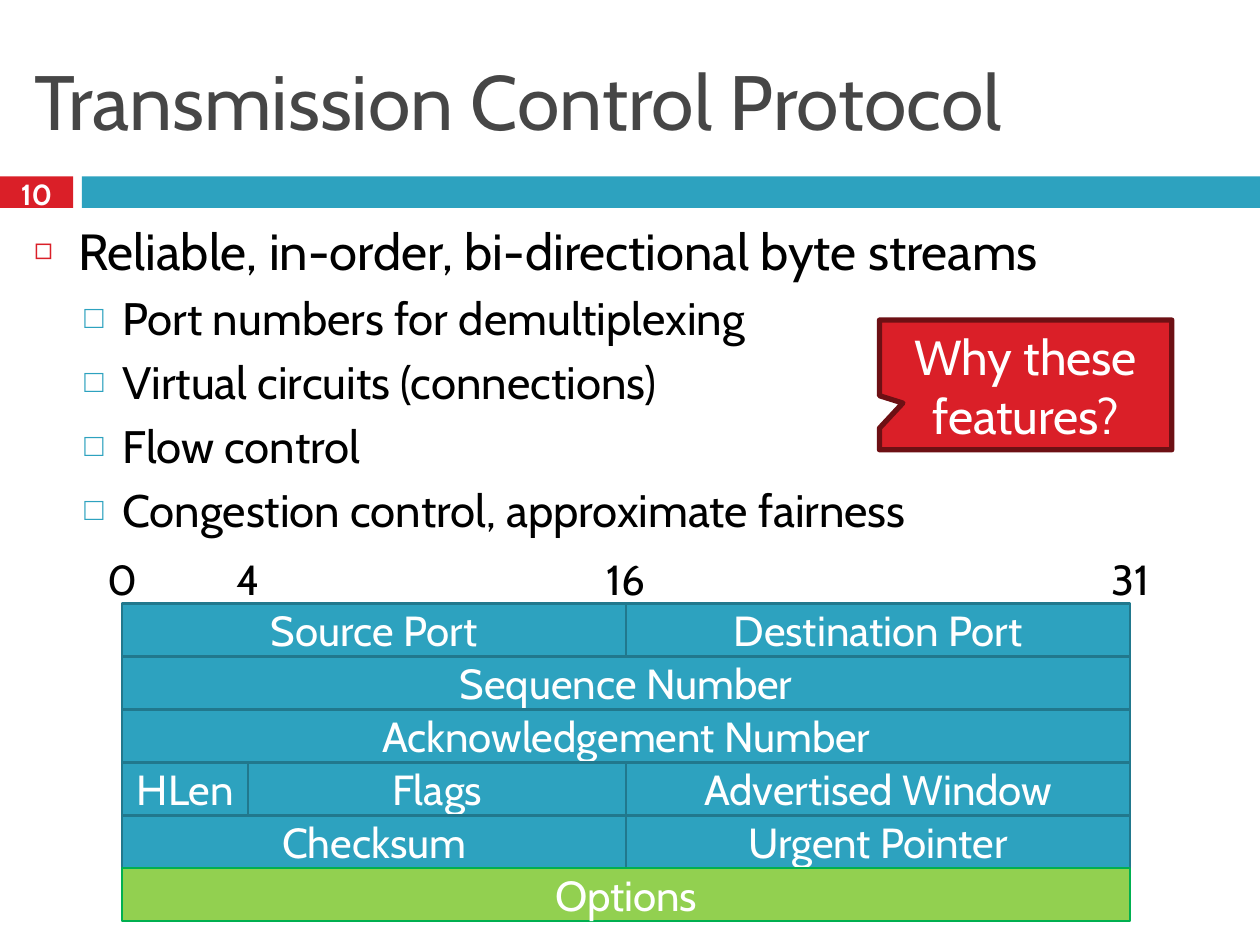
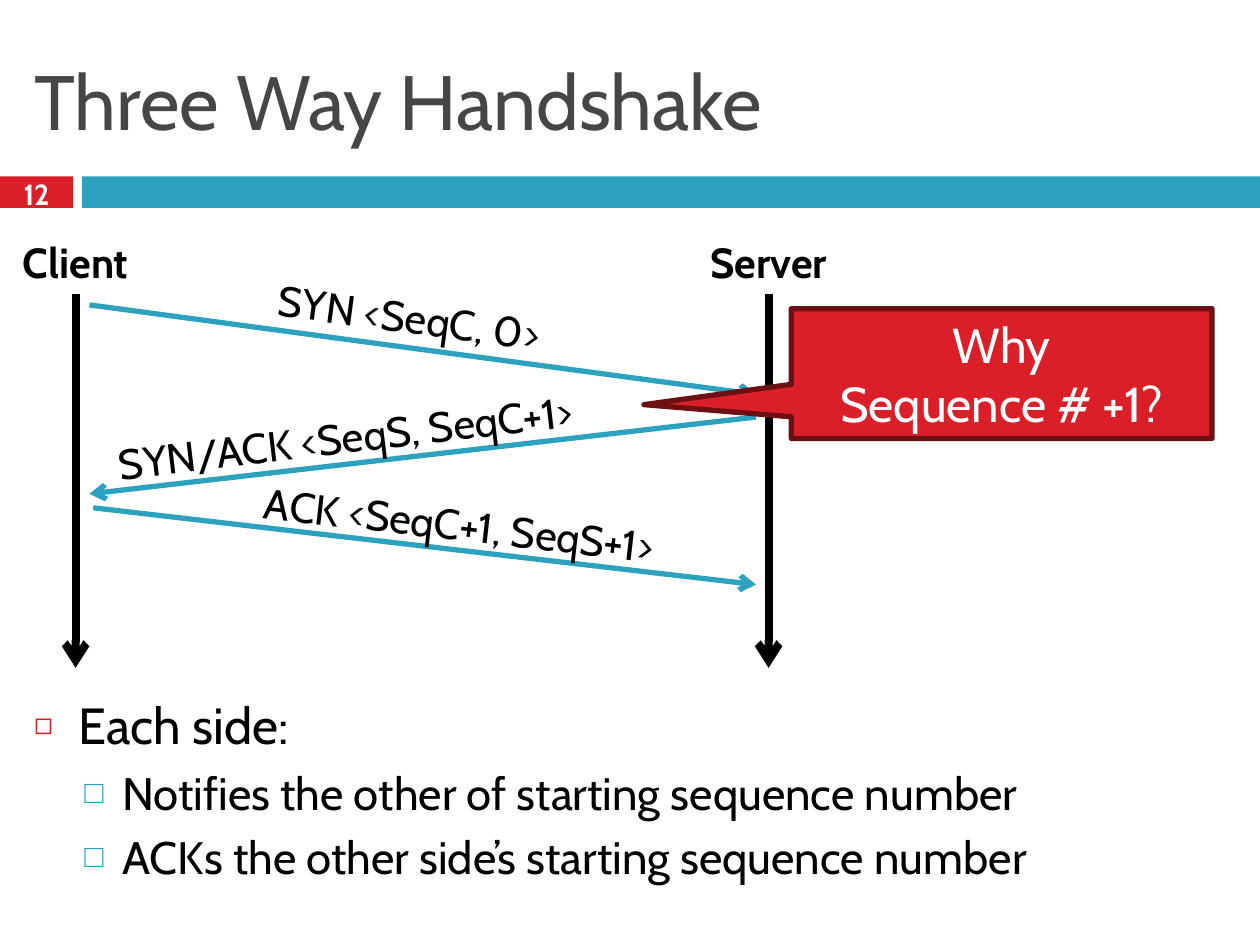
from dataclasses import dataclass

from lxml import etree
from pptx import Presentation
from pptx.dml.color import RGBColor
from pptx.enum import shapes, text
from pptx.oxml import ns
from pptx.util import Inches, Pt


@dataclass(frozen=True)
class Theme:
    font: str = "Cabin"
    # Colours
    ink: str = "000000"
    paper: str = "FFFFFF"
    heading: str = "464646"
    red: str = "DA1F28"
    dark_red: str = "6D1014"
    blue: str = "2DA2BF"
    dark_blue: str = "21788D"
    lime: str = "92D050"
    green: str = "00B050"
    # Type sizes
    title: float = 44
    bullet: float = 29
    sub_bullet: float = 26
    callout: float = 28
    label: float = 24
    number: float = 16.6


THEME = Theme()
COLS, ROWS = 100, 75  # slide grid
MIDDLE, TOP = text.MSO_ANCHOR.MIDDLE, text.MSO_ANCHOR.TOP
LEFT, CENTER = text.PP_ALIGN.LEFT, text.PP_ALIGN.CENTER

# Bullet style by level: character, colour, percent size, text indent, hang, space before
BULLETS = [
    ("◻", THEME.red, 60, 0.35, 0.35, 7),
    ("□", THEME.blue, 70, 0.7, 0.3, 5.5),
]


def apply(obj, **values):
    for name, value in values.items():
        setattr(obj, name, value)


def add_xml(parent, tag, **attrs):
    return etree.SubElement(parent, ns.qn(tag), attrs)


class Deck:
    """Holds the style, the presentation and the current slide."""

    def __init__(self, theme):
        self.theme = theme
        self.prs = Presentation()
        apply(self.prs, slide_width=Inches(10), slide_height=Inches(7.5))
        self.slide = None

    # Grid
    def x(self, cols):
        return round(self.prs.slide_width * cols / COLS)

    def y(self, rows):
        return round(self.prs.slide_height * rows / ROWS)

    def box(self, col, row, cols, rows):
        return self.x(col), self.y(row), self.x(cols), self.y(rows)

    def place(self, sp, *place):
        apply(sp, **dict(zip(("left", "top", "width", "height"), self.box(*place))))

    # Text
    def set_text(self, sp, lines, size, color, align=CENTER, bold=False, **frame):
        tf = sp.text_frame
        apply(tf, **{"word_wrap": True, "vertical_anchor": MIDDLE,
                     "auto_size": text.MSO_AUTO_SIZE.NONE, **frame})
        for i, line in enumerate(lines):
            p = tf.paragraphs[0] if i == 0 else tf.add_paragraph()
            p.alignment = align
            r = p.add_run()
            r.text = line
            apply(r.font, name=self.theme.font, size=Pt(size), bold=bold)
            r.font.color.rgb = RGBColor.from_string(color)
        return tf

    def label(self, words, col, row, cols, rows, rotation=0, **fmt):
        sp = self.slide.shapes.add_textbox(*self.box(col, row, cols, rows))
        sp.rotation = rotation
        self.set_text(sp, [words], self.theme.label, self.theme.ink, **fmt)

    def tag(self, words, col, row, cols, **fmt):
        """A one-line label that does not wrap."""
        self.label(words, col, row, cols, 5, word_wrap=False, vertical_anchor=TOP,
                   auto_size=text.MSO_AUTO_SIZE.SHAPE_TO_FIT_TEXT, **fmt)

    # Shapes
    def shape(self, place, fill, line=None, width=1.5, kind=shapes.MSO_SHAPE.RECTANGLE):
        sp = self.slide.shapes.add_shape(kind, *self.box(*place))
        sp.shadow.inherit = False
        sp.fill.solid()
        sp.fill.fore_color.rgb = RGBColor.from_string(fill)
        if line:
            sp.line.color.rgb = RGBColor.from_string(line)
            sp.line.width = Pt(width)
        else:
            sp.line.fill.background()
        return sp

    def callout(self, lines, place, tip):
        t = self.theme
        sp = self.shape(place, t.red, t.dark_red, 3,
                        shapes.MSO_SHAPE.RECTANGULAR_CALLOUT)
        for i, share in enumerate(tip):
            sp.adjustments[i] = share
        self.set_text(sp, lines, t.callout, t.paper, vertical_anchor=TOP)

    def arrow(self, start, end, color, width):
        (c1, r1), (c2, r2) = start, end
        cn = self.slide.shapes.add_connector(
            shapes.MSO_CONNECTOR.STRAIGHT, self.x(c1), self.y(r1), self.x(c2), self.y(r2))
        cn.line.color.rgb = RGBColor.from_string(color)
        cn.line.width = Pt(width)
        spPr = cn.element.spPr
        add_xml(spPr.find(ns.qn("a:ln")), "a:tailEnd", type="arrow")
        add_xml(spPr, "a:effectLst")

    # Slide frame: title, number and band
    def new_slide(self, title, number):
        t = self.theme
        self.slide = self.prs.slides.add_slide(self.prs.slide_layouts[1])
        sp = self.slide.shapes.title
        self.place(sp, 1.7, 2.5, 96.7, 10.8)
        self.set_text(sp, [title], t.title, t.heading, LEFT)
        self.shape((6.5, 14, 93.5, 2.5), t.blue)
        sp = self.shape((0, 14, 5.8, 2.5), t.red)
        self.set_text(sp, [str(number)], t.number, t.paper, bold=True,
                      margin_top=Inches(0.02), margin_bottom=0)

    # Bulleted list: one head and its items
    def bullets(self, row, rows, head, items):
        t = self.theme
        sp = self.slide.placeholders[1]
        self.place(sp, 1.7, row, 96.7, rows)
        tf = self.set_text(sp, [head, *items], t.sub_bullet, t.ink, LEFT,
                           vertical_anchor=TOP)
        tf.paragraphs[0].runs[0].font.size = Pt(t.bullet)
        for i, p in enumerate(tf.paragraphs):
            level = min(i, 1)
            char, color, percent, indent, hang, before = BULLETS[level]
            apply(p, level=level, space_before=Pt(before))
            pPr = p._p.get_or_add_pPr()
            pPr.set("marL", str(Inches(indent)))
            pPr.set("indent", str(-Inches(hang)))
            add_xml(add_xml(pPr, "a:buClr"), "a:srgbClr", val=color)
            add_xml(pPr, "a:buSzPct", val=str(percent * 1000))
            add_xml(pPr, "a:buChar", char=char)


def tcp_header(deck):
    t = deck.theme
    deck.new_slide("Transmission Control Protocol", 10)
    deck.bullets(16.9, 27.3, "Reliable, in-order, bi-directional byte streams", [
        "Port numbers for demultiplexing",
        "Virtual circuits (connections)",
        "Flow control",
        "Congestion control, approximate fairness",
    ])

    # Header fields: each row covers 32 bits
    left, top, bit, height = 9.7, 47.9, 2.5, 4.2
    fields = [
        [("Source Port", 16), ("Destination Port", 16)],
        [("Sequence Number", 32)],
        [("Acknowledgement Number", 32)],
        [("HLen", 4), ("Flags", 12), ("Advertised Window", 16)],
        [("Checksum", 16), ("Urgent Pointer", 16)],
        [("Options", 32)],
    ]
    for i, row in enumerate(fields):
        start = 0
        for name, bits in row:
            colors = (t.lime, t.green) if name == "Options" else (t.blue, t.dark_blue)
            sp = deck.shape((left + start * bit, top + i * height, bits * bit, height),
                            *colors)
            deck.set_text(sp, [name], t.label, t.paper)
            start += bits

    # Bit positions
    for words, edge in (("0", 0), ("4", 4), ("16", 16), ("31", 32)):
        deck.label(words, left + edge * bit - 3.25, 42.6, 6.5, 6.6)

    deck.callout(["Why these features?"], (69.8, 25.4, 23.2, 10.3), (-0.42, 0.14))


def handshake(deck):
    t = deck.theme
    deck.new_slide("Three Way Handshake", 12)
    deck.bullets(54.6, 18.8, "Each side:", [
        "Notifies the other of starting sequence number",
        "ACKs the other side’s starting sequence number",
    ])

    # Time lines
    for host, col, width in (("Client", 6, 11.4), ("Server", 61, 12.5)):
        deck.arrow((col, 23.3), (col, 53), t.ink, 4.5)
        deck.tag(host, col - width / 2, 18.3, width, bold=True)

    # Messages: arrow ends, then label place and turn
    messages = [
        ("SYN <SeqC, 0>", (7.1, 24.2), (60, 31.3), (21, 22.9, 26.9), 7.6),
        ("SYN/ACK <SeqS, SeqC+1>", (60, 33.1), (7.1, 39.2), (8.3, 31.8, 44), -6.9),
        ("ACK <SeqC+1, SeqS+1>", (7.4, 40.3), (60, 46.4), (19.9, 39.5, 40), 6.6),
    ]
    for words, start, end, place, turn in messages:
        deck.arrow(start, end, t.blue, 3)
        deck.tag(words, *place, rotation=turn, align=LEFT)

    deck.callout(["Why", "Sequence # +1?"], (62.8, 24.5, 33.4, 10.3), (-0.85, 0.24))


def main():
    deck = Deck(THEME)
    tcp_header(deck)
    handshake(deck)
    deck.prs.save("out.pptx")


if __name__ == "__main__":
    main()
